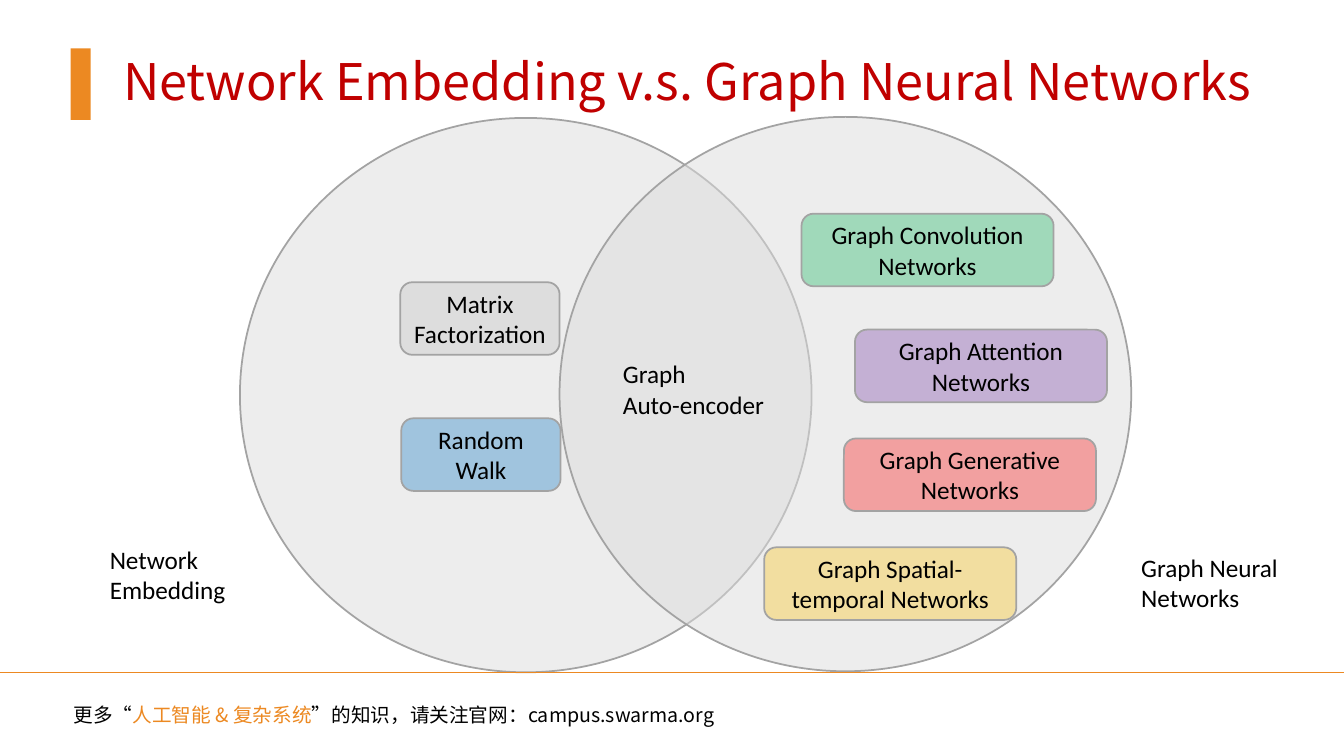
from dataclasses import dataclass

from lxml import etree
from pptx import Presentation
from pptx.dml.color import RGBColor
from pptx.enum.shapes import MSO_CONNECTOR, MSO_SHAPE as SHAPE
from pptx.enum.text import MSO_ANCHOR as ANCHOR, MSO_AUTO_SIZE as FIT, PP_ALIGN as ALIGN
from pptx.oxml.ns import qn
from pptx.util import Inches, Pt


@dataclass(frozen=True)
class Theme:
    heading_font: str = "Noto Sans CJK SC"
    body_font: str = "Calibri"
    title_size: int = 36
    label_size: int = 18
    footer_size: int = 14
    title: str = "C00000"
    accent: str = "EC8922"
    text: str = "000000"
    outline: str = "A3A3A3"
    grey: str = "DDDDDD"
    blue: str = "0070C0"
    green: str = "00B050"
    purple: str = "7030A0"
    red: str = "FF0000"
    yellow: str = "FFC000"


class SlideBuilder:
    def __init__(self, slide, theme):
        self.s = slide
        self.theme = theme

    def set_text(self, sp, lines, size, font, color, align=ALIGN.LEFT, anchor=ANCHOR.TOP):
        tf = sp.text_frame
        frame_format = {"word_wrap": True, "auto_size": FIT.NONE, "vertical_anchor": anchor}
        for name, value in frame_format.items():
            setattr(tf, name, value)
        for i, line in enumerate(lines):
            p = tf.add_paragraph() if i else tf.paragraphs[0]
            p.alignment = align
            for text, run_color in ([(line, color)] if isinstance(line, str) else line):
                r = p.add_run()
                r.text = text
                for name, value in {"size": Pt(size), "name": font}.items():
                    setattr(r.font, name, value)
                r.font.color.rgb = RGBColor.from_string(run_color)
                east_asian = etree.Element(qn("a:ea"), typeface=font)
                r.font._element.find(qn("a:latin")).addnext(east_asian)

    def title(self, text, x, y, w, h):
        t = self.theme
        sp = self.s.shapes.title
        box = {"left": x, "top": y, "width": w, "height": h}
        for name, value in box.items():
            setattr(sp, name, Inches(value))
        self.set_text(sp, [text], t.title_size, t.heading_font, t.title, anchor=ANCHOR.MIDDLE)
        sp.text_frame.paragraphs[0].line_spacing = 0.9

    def shape(self, kind, x, y, w, h, fill, alpha=100, outlined=True):
        sp = self.s.shapes.add_shape(kind, Inches(x), Inches(y), Inches(w), Inches(h))
        sp.shadow.inherit = False
        sp.fill.solid()
        sp.fill.fore_color.rgb = RGBColor.from_string(fill)
        if alpha < 100:
            color = sp._element.spPr.find(qn("a:solidFill"))[0]
            etree.SubElement(color, qn("a:alpha"), val=str(alpha * 1000))
        if outlined:
            sp.line.color.rgb = RGBColor.from_string(self.theme.outline)
            sp.line.width = Pt(1.25)
        else:
            sp.line.fill.background()
        return sp

    def method_box(self, text, x, y, w, fill, alpha=32):
        t = self.theme
        sp = self.shape(SHAPE.ROUNDED_RECTANGLE, x, y, w, 0.72, fill, alpha)
        self.set_text(sp, [text], t.label_size, t.body_font, t.text, ALIGN.CENTER, ANCHOR.MIDDLE)

    def text_box(self, lines, x, y, w, h, size, font):
        sp = self.s.shapes.add_textbox(Inches(x), Inches(y), Inches(w), Inches(h))
        self.set_text(sp, lines, size, font, self.theme.text)

    def rule(self, y, width):
        sp = self.s.shapes.add_connector(
            MSO_CONNECTOR.STRAIGHT, 0, Inches(y), Inches(width), Inches(y))
        sp.line.color.rgb = RGBColor.from_string(self.theme.accent)
        sp.line.width = Pt(1)
        etree.SubElement(sp._element.spPr, qn("a:effectLst"))


def main():
    t = Theme()
    prs = Presentation()
    prs.slide_width, prs.slide_height = Inches(13.33), Inches(7.5)
    b = SlideBuilder(prs.slides.add_slide(prs.slide_layouts[5]), t)

    for x, y in ((2.38, 1.17), (5.55, 1.16)):
        b.shape(SHAPE.OVAL, x, y, 5.67, 5.5, t.grey, 50)

    b.title("Network Embedding v.s. Graph Neural Networks", 1.12, 0.48, 12.21, 0.71)
    b.shape(SHAPE.RECTANGLE, 0.7, 0.48, 0.2, 0.71, t.accent, outlined=False)
    b.rule(6.67, 13.33)

    footer = [("更多“", t.text), ("人工智能 & 复杂系统", t.accent),
              ("”的知识，请关注官网：campus.swarma.org", t.text)]
    b.text_box([footer], 0.63, 6.92, 7.85, 0.34, t.footer_size, t.heading_font)

    b.method_box("Matrix Factorization", 3.97, 2.8, 1.58, t.grey, 100)
    b.method_box("Random Walk", 3.98, 4.15, 1.58, t.blue)
    graph_networks = (
        ("Graph Convolution Networks", 7.95, 2.12, t.green),
        ("Graph Attention Networks", 8.48, 3.27, t.purple),
        ("Graph Generative Networks", 8.37, 4.35, t.red),
        ("Graph Spatial-temporal Networks", 7.58, 5.43, t.yellow),
    )
    for text, x, y, fill in graph_networks:
        b.method_box(text, x, y, 2.5, fill)

    labels = (
        (["Graph", "Auto-encoder"], 6.08, 3.51),
        (["Network Embedding"], 0.99, 5.35),
        (["Graph Neural Networks"], 11.22, 5.43),
    )
    for lines, x, y in labels:
        b.text_box(lines, x, y, 1.91, 0.71, t.label_size, t.body_font)

    prs.save("out.pptx")


if __name__ == "__main__":
    main()
